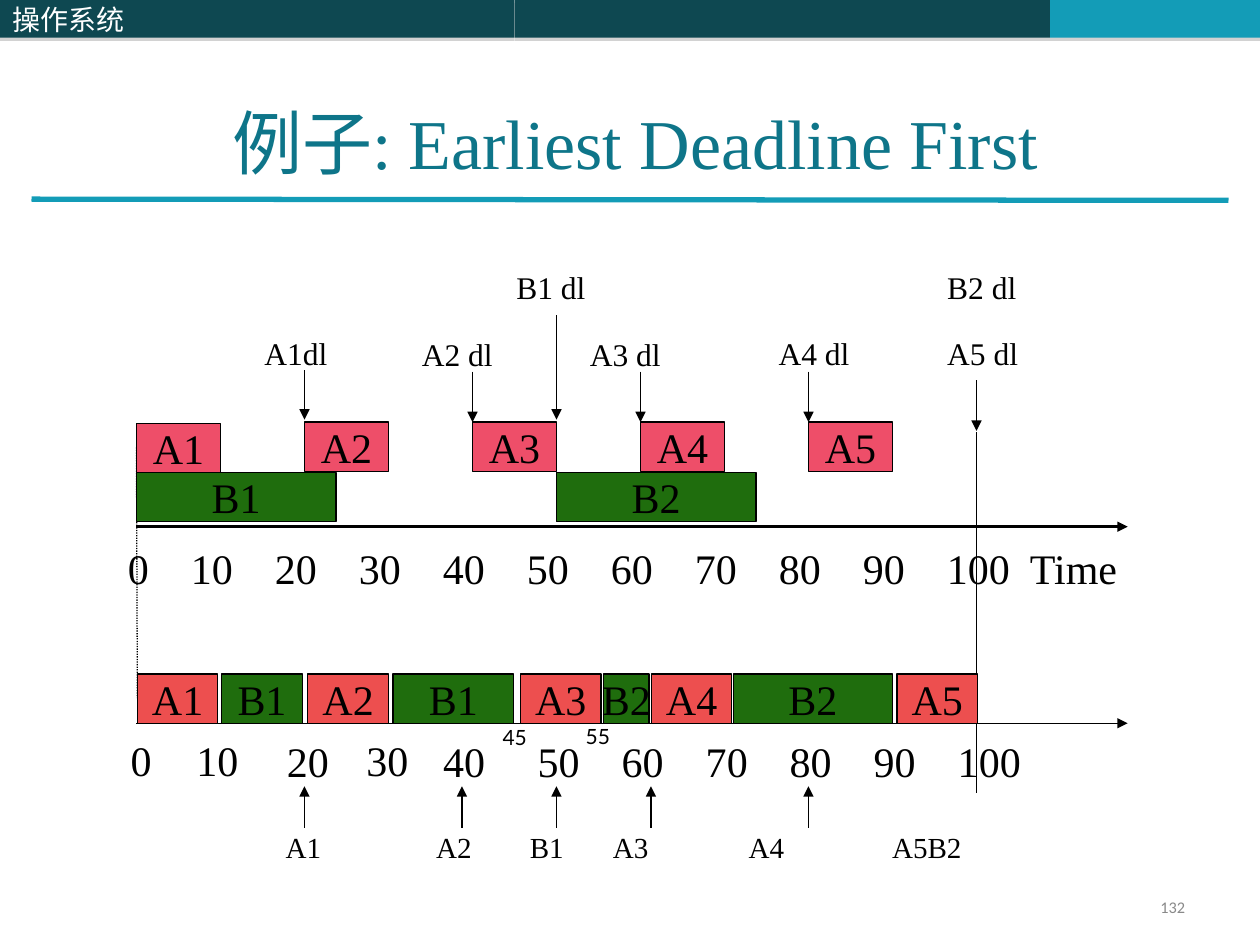
from dataclasses import dataclass

from lxml import etree
from pptx import Presentation
from pptx.dml.color import RGBColor
from pptx.enum.dml import MSO_LINE
from pptx.enum.shapes import MSO_CONNECTOR, MSO_SHAPE
from pptx.enum.text import MSO_ANCHOR, PP_ALIGN
from pptx.oxml.ns import qn
from pptx.slide import Slide
from pptx.util import Pt

RECTANGLE = MSO_SHAPE.RECTANGLE
STRAIGHT = MSO_CONNECTOR.STRAIGHT
DOTTED = MSO_LINE.ROUND_DOT
LEFT, CENTER, RIGHT = PP_ALIGN.LEFT, PP_ALIGN.CENTER, PP_ALIGN.RIGHT
TOP, MIDDLE = MSO_ANCHOR.TOP, MSO_ANCHOR.MIDDLE

COLORS = {
    "bar": "0E4851", "accent": "139CB7", "title": "0E7589", "number": "898989",
    "pink": "EE4E69", "red": "ED4F4F", "green": "1F6D0D",
    "black": "000000", "white": "FFFFFF", "shadow": "808080",
}
ORIGIN, UNIT, TASK_HEIGHT = 78, 4.8, 28.1
UPPER_AXIS, LOWER_AXIS, AXIS_END = 301, 413.3, 644.4


def time_x(time):
    """Return the horizontal place of a time on the upper axis."""
    return ORIGIN + UNIT * time


@dataclass
class Diagram:
    """Style and current slide of the scheduling diagram."""

    slide: Slide
    serif: str = "Times New Roman"
    chinese: str = "Noto Sans CJK SC"

    def color(self, name):
        """Return a named colour."""
        return RGBColor.from_string(COLORS[name])

    def add_text(self, shape, text, size, color="black", font=None, align=LEFT,
                 anchor=TOP, tabs=(), spacing=None):
        """Fill a shape with one styled paragraph."""
        frame = shape.text_frame
        frame.vertical_anchor = anchor
        para = frame.paragraphs[0]
        if tabs:
            tab_list = etree.SubElement(para._p.get_or_add_pPr(), qn("a:tabLst"))
            for place in tabs:
                etree.SubElement(tab_list, qn("a:tab"), pos=str(Pt(place)), algn="l")
        para.alignment = align
        if spacing:
            para.line_spacing = spacing
        span = para.add_run()
        span.text = text
        span.font.size = Pt(size)
        span.font.name = font or self.serif
        span.font.color.rgb = self.color(color)
        etree.SubElement(span._r.get_or_add_rPr(), qn("a:ea"), typeface=self.chinese)

    def label(self, text, left, top, width, height, size, **style):
        """Add a text box."""
        box = self.slide.shapes.add_textbox(Pt(left), Pt(top), Pt(width), Pt(height))
        box.text_frame.word_wrap = True
        self.add_text(box, text, size, **style)

    def rectangle(self, left, top, width, height, fill):
        """Add a plain filled rectangle."""
        box = self.slide.shapes.add_shape(
            RECTANGLE, Pt(left), Pt(top), Pt(width), Pt(height))
        box.shadow.inherit = False
        box.fill.solid()
        box.fill.fore_color.rgb = self.color(fill)
        box.line.fill.background()
        return box

    def bar(self, left, width, fill):
        """Add a header bar with a soft shadow below it."""
        box = self.rectangle(left, 0, width, 21.6, fill)
        effects = box._element.spPr.find(qn("a:effectLst"))
        shadow = etree.SubElement(effects, qn("a:outerShdw"), blurRad="0",
                                  dist=str(Pt(1.8)), dir="5400000", rotWithShape="0")
        tint = etree.SubElement(shadow, qn("a:srgbClr"), val=COLORS["shadow"])
        etree.SubElement(tint, qn("a:alpha"), val="35000")
        return box

    def task(self, name, left, top, width, fill):
        """Add an outlined task block."""
        box = self.rectangle(left, top, width, TASK_HEIGHT, fill)
        box.line.color.rgb = self.color("black")
        box.line.width = Pt(0.75)
        box.text_frame.word_wrap = False
        self.add_text(box, name, 24, align=CENTER, anchor=MIDDLE)

    def line(self, start, end, width=0.75, color="black", dash=None, arrow=False):
        """Add a straight line, with an arrowhead at its end if asked."""
        connector = self.slide.shapes.add_connector(
            STRAIGHT, *(Pt(value) for value in (*start, *end)))
        connector.line.color.rgb = self.color(color)
        connector.line.width = Pt(width)
        if dash:
            connector.line.dash_style = dash
        properties = connector._element.spPr
        if arrow:
            etree.SubElement(properties.find(qn("a:ln")), qn("a:tailEnd"),
                             type="triangle")
        etree.SubElement(properties, qn("a:effectLst"))


def add_frame(diagram):
    """Draw the header, title and slide number."""
    diagram.bar(294, 306, "bar")
    diagram.bar(600, 120, "accent")
    diagram.line((18, 113.8), (702, 114.5), 3, "accent")
    diagram.add_text(diagram.bar(0, 294, "bar"), "操作系统", 16, color="white",
                     font=diagram.chinese, anchor=MIDDLE)
    diagram.label("132", 516.2, 509.8, 168, 19.4, 9.3, color="number", font="Calibri",
                  align=RIGHT, anchor=MIDDLE, spacing=0.8)
    diagram.label("例子: Earliest Deadline First", 42, 36, 642, 90, 40,
                  color="title", align=CENTER, anchor=MIDDLE)


def add_arrivals(diagram):
    """Draw the arrivals and deadlines on the upper axis."""
    diagram.line((ORIGIN, 255.6), (78.5, 398.9), dash=DOTTED)
    diagram.line((ORIGIN, UPPER_AXIS), (AXIS_END, UPPER_AXIS), 1.5, arrow=True)
    ticks = [str(time) for time in range(0, 101, 10)]
    diagram.label("\t".join(ticks + ["Time"]), 66, 306.7, 582, 36, 24,
                  tabs=[36 + 48 * step for step in range(10)] + [515.5])
    for index, time in enumerate((0, 50), 1):
        diagram.task(f"B{index}", time_x(time), 270, 114, "green")
    for index, time in enumerate(range(0, 100, 20), 1):
        diagram.task(f"A{index}", time_x(time), 241.2 if time else 241.9, 48, "pink")
    for time, top, bottom in ((20, 211.7, 239.8), (40, 212.4, 241.2), (50, 180, 239.8),
                              (60, 212.4, 241.2), (80, 212.4, 241.2),
                              (100, 217.4, 246.2)):
        diagram.line((time_x(time), top), (time_x(time), bottom), arrow=True)
    for text, left, top in (("A1dl", 144, 187.2), ("A2 dl", 234, 187.9),
                            ("A3 dl", 330, 187.9), ("A4 dl", 437.8, 187.2),
                            ("A5 dl", 534.2, 187.2), ("B1 dl", 288, 149.8),
                            ("B2 dl", 534.2, 149.8)):
        diagram.label(text, left, top, 62, 28.8, 18)


def add_schedule(diagram):
    """Draw the resulting schedule on the lower axis."""
    diagram.line((time_x(100), 247), (time_x(100), 452.9), 0.25, dash=DOTTED)
    diagram.line((ORIGIN, LOWER_AXIS), (AXIS_END, LOWER_AXIS), arrow=True)
    for name, left, width in (("A1", 78.5, 46), ("B1", 126.7, 46), ("A2", 175.7, 46.5),
                              ("B1", 224.6, 69), ("A3", 297.4, 46), ("B2", 344.9, 26),
                              ("A4", 372.2, 46), ("B2", 419, 91), ("A5", 512.6, 46)):
        fill = "red" if name.startswith("A") else "green"
        diagram.task(name, left, LOWER_AXIS - TASK_HEIGHT, width, fill)
    for text, middle, top in (("0", 80.6, 416.2), ("10", 124.2, 416.2),
                              ("20", 176, 416.9), ("30", 221.4, 416.2)):
        diagram.label(text, middle - 20, top, 40, 36, 24, align=CENTER)
    diagram.label("\t".join(str(time) for time in range(40, 101, 10)),
                  246.2, 416.9, 350, 36, 24,
                  tabs=[54 + 48 * step for step in range(6)])
    for text, left, top in (("45", 280.1, 410.4), ("55", 327.6, 409.7)):
        diagram.label(text, left, top, 41, 21.6, 12, font="Lato")
    for x in (174, 264, 318, 372, 462):
        diagram.line((x, 473), (x, 449.3), arrow=True)
    diagram.label("\t".join(("A1", "A2", "B1", "A3", "A4", "A5B2")),
                  156.2, 473, 510.5, 28.8, 16.6,
                  tabs=(86, 139.5, 187, 264.5, 346.5), spacing=0.9)


def main():
    """Build and save the deck."""
    deck = Presentation()
    deck.slide_width, deck.slide_height = Pt(720), Pt(540)
    diagram = Diagram(deck.slides.add_slide(deck.slide_layouts[6]))
    add_frame(diagram)
    add_arrivals(diagram)
    add_schedule(diagram)
    deck.save("out.pptx")


if __name__ == "__main__":
    main()
